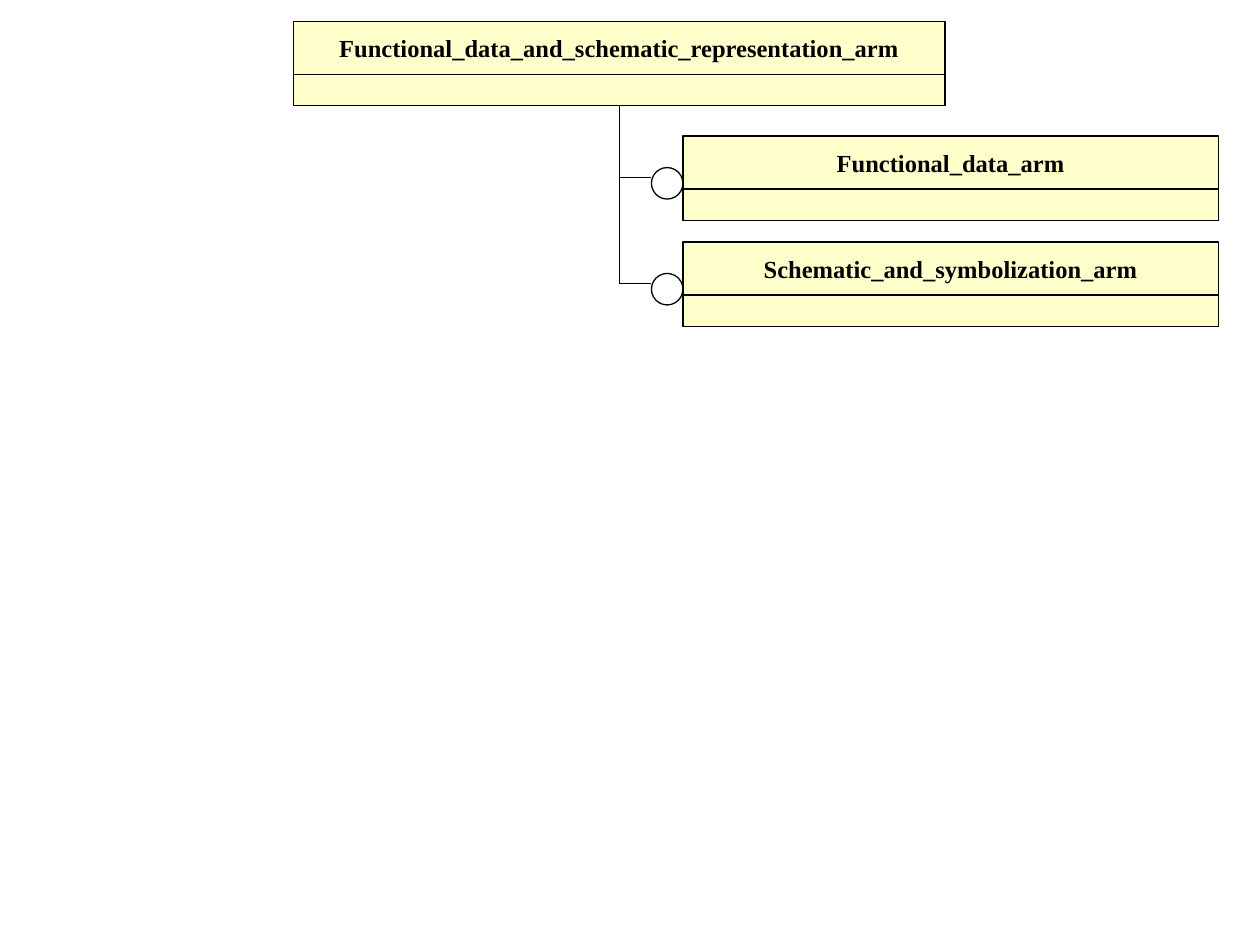
from dataclasses import dataclass

from lxml.etree import SubElement
from pptx import Presentation
from pptx.dml.color import RGBColor
from pptx.enum.shapes import MSO_CONNECTOR, MSO_SHAPE
from pptx.enum.text import MSO_ANCHOR, PP_ALIGN
from pptx.oxml.ns import qn
from pptx.util import Inches, Pt


@dataclass(frozen=True)
class Theme:
    box: RGBColor = RGBColor(0xFF, 0xFF, 0xCC)
    circle: RGBColor = RGBColor(0xFF, 0xFF, 0xFF)
    ink: RGBColor = RGBColor(0, 0, 0)
    font: str = "Times New Roman"
    size: float = 14
    line: float = 0.74


@dataclass(frozen=True)
class SchemaBox:
    name: str
    left: float
    top: float
    width: float


THEME = Theme()
HEADER_H, BODY_H, CIRCLE_D = 0.42, 0.25, 0.25
ROOT = SchemaBox("Functional_data_and_schematic_representation_arm", 2.33, 0.17, 5.17)
CHILDREN = [
    SchemaBox(name, 5.42, 1.08 + i * 0.84, 4.25)
    for i, name in enumerate(["Functional_data_arm", "Schematic_and_symbolization_arm"])
]
TRUNK_X = ROOT.left + ROOT.width / 2


def add_outlined(shapes, kind: MSO_SHAPE, left: float, top: float,
                 width: float, height: float, fill: RGBColor):
    sp = shapes.add_shape(kind, Inches(left), Inches(top), Inches(width), Inches(height))
    sp.shadow.inherit = False
    sp.fill.solid()
    sp.fill.fore_color.rgb = fill
    sp.line.color.rgb = THEME.ink
    sp.line.width = Pt(THEME.line)
    return sp


def add_schema(slide, box: SchemaBox) -> None:
    shapes = slide.shapes.add_group_shape().shapes
    header = add_outlined(shapes, MSO_SHAPE.RECTANGLE, box.left, box.top,
                          box.width, HEADER_H, THEME.box)
    add_outlined(shapes, MSO_SHAPE.RECTANGLE, box.left, box.top + HEADER_H,
                 box.width, BODY_H, THEME.box)
    tf = header.text_frame
    tf.text = box.name
    tf.word_wrap = False
    tf.vertical_anchor = MSO_ANCHOR.MIDDLE
    p = tf.paragraphs[0]
    p.alignment = PP_ALIGN.CENTER
    font = p.runs[0].font
    font.name, font.size, font.bold = THEME.font, Pt(THEME.size), True
    font.color.rgb = THEME.ink


def add_line(slide, x1: float, y1: float, x2: float, y2: float) -> None:
    line = slide.shapes.add_connector(
        MSO_CONNECTOR.STRAIGHT, Inches(x1), Inches(y1), Inches(x2), Inches(y2))
    line.line.color.rgb = THEME.ink
    line.line.width = Pt(THEME.line)
    SubElement(line._element.spPr, qn("a:effectLst"))


def add_branch(slide, child: SchemaBox) -> None:
    circle_left = child.left - CIRCLE_D
    add_outlined(slide.shapes, MSO_SHAPE.OVAL, circle_left, child.top + 0.25,
                 CIRCLE_D, CIRCLE_D, THEME.circle)
    y = branch_y(child)
    add_line(slide, TRUNK_X, y, circle_left, y)


def branch_y(child: SchemaBox) -> float:
    return child.top + 0.33


def main() -> None:
    prs = Presentation()
    prs.slide_width, prs.slide_height = Inches(10), Inches(7.5)
    slide = prs.slides.add_slide(prs.slide_layouts[6])
    for box in [ROOT, *CHILDREN]:
        add_schema(slide, box)
    add_line(slide, TRUNK_X, branch_y(CHILDREN[-1]),
             TRUNK_X, ROOT.top + HEADER_H + BODY_H)
    for child in CHILDREN:
        add_branch(slide, child)
    prs.save("out.pptx")


main()
